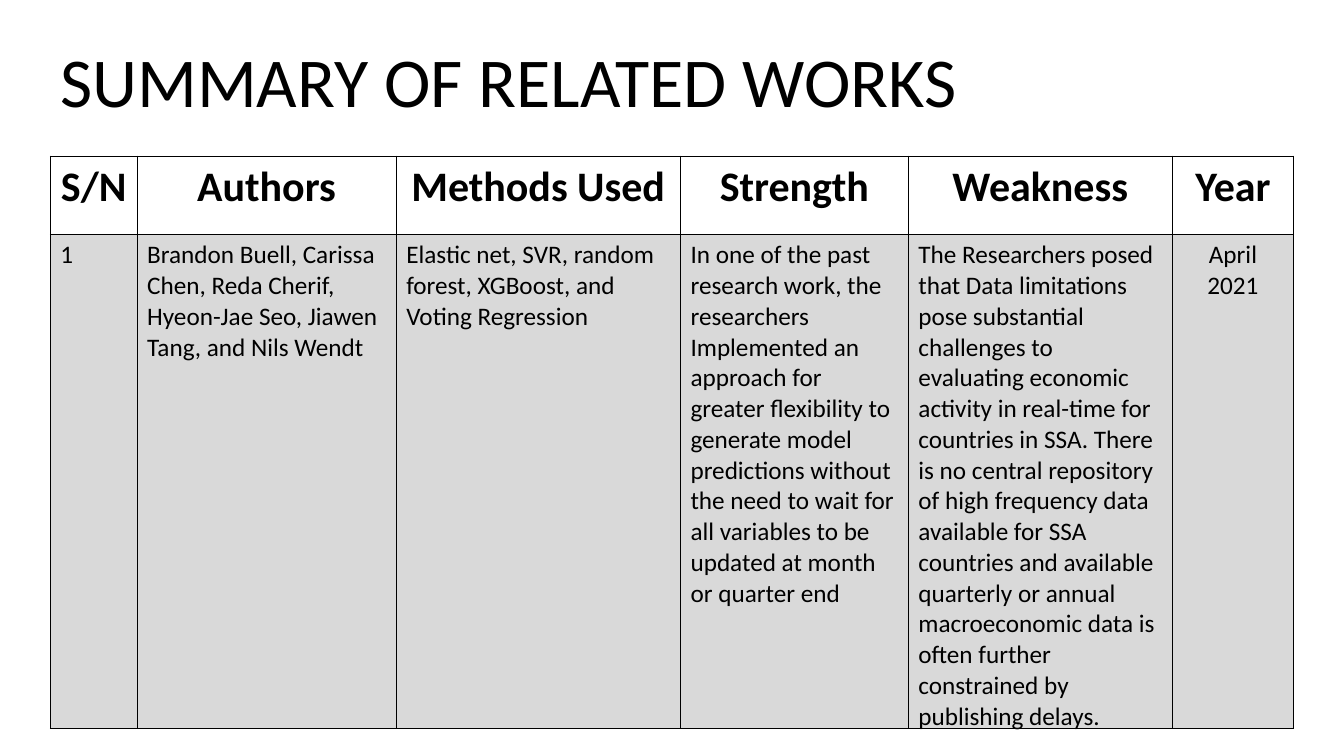
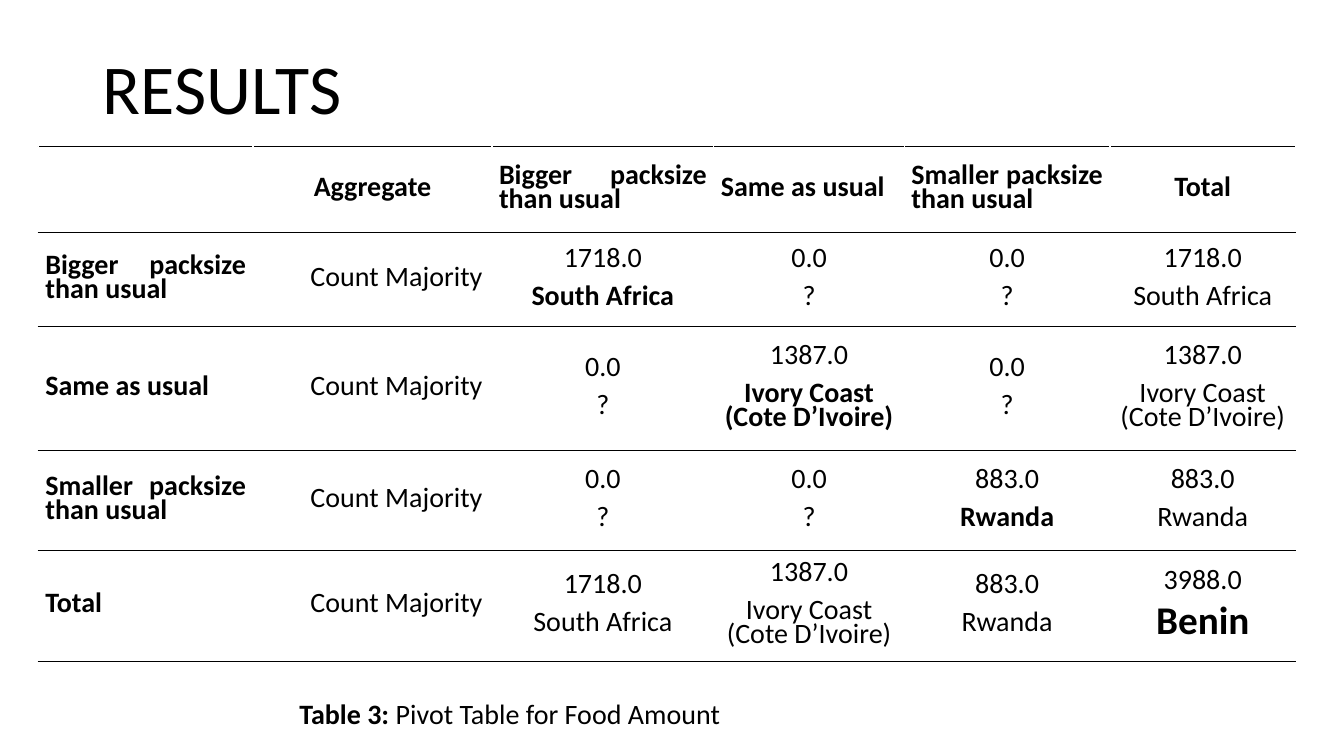
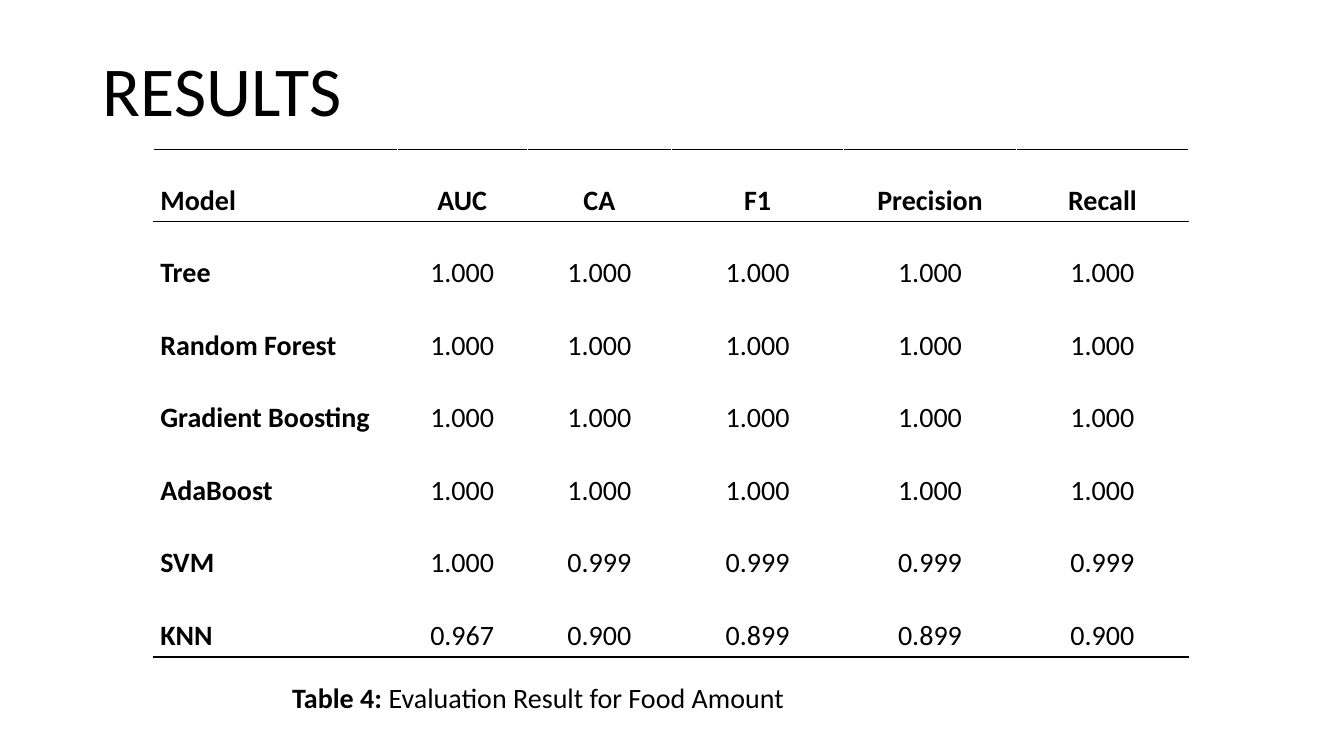
from lxml import etree
from pptx import Presentation
from pptx.dml.color import RGBColor
from pptx.enum.text import MSO_ANCHOR, PP_ALIGN
from pptx.oxml.ns import qn
from pptx.util import Inches, Pt

LEFT, CENTER, JUSTIFY = PP_ALIGN.LEFT, PP_ALIGN.CENTER, PP_ALIGN.JUSTIFY
TOP, MIDDLE = MSO_ANCHOR.TOP, MSO_ANCHOR.MIDDLE
BLACK = RGBColor(0x00, 0x00, 0x00)
WHITE = RGBColor(0xFF, 0xFF, 0xFF)
GREY = RGBColor(0xD9, 0xD9, 0xD9)
FONT = "Calibri"
BLANK_LAYOUT = 6

RELATED_WORKS = [
    ["S/N", "Authors", "Methods Used", "Strength", "Weakness", "Year"],
    ["1",
     "Brandon Buell, Carissa Chen, Reda Cherif, Hyeon-Jae Seo, Jiawen Tang, and Nils Wendt",
     "Elastic net, SVR, random forest, XGBoost, and Voting Regression",
     "In one of the past research work, the researchers Implemented an approach for greater "
     "flexibility to generate model predictions without the need to wait for all variables to "
     "be updated at month or quarter end",
     "The Researchers posed that Data limitations pose substantial challenges to evaluating "
     "economic activity in real-time for countries in SSA. There is no central repository of "
     "high frequency data available for SSA countries and available quarterly or annual "
     "macroeconomic data is often further constrained by publishing delays.",
     "April 2021"],
]

BIGGER = "Bigger packsize than usual"
SAME = "Same as usual"
SMALLER = "Smaller packsize than usual"
AGGREGATE = "Count Majority"
NO_COUNT = "0.0\n?"
SOUTH_AFRICA = "1718.0\nSouth Africa"
IVORY_COAST = "1387.0\nIvory Coast (Cote D’Ivoire)"
RWANDA = "883.0\nRwanda"
PIVOT = [
    ["", "Aggregate", BIGGER, SAME, SMALLER, "Total"],
    [BIGGER, AGGREGATE, SOUTH_AFRICA, NO_COUNT, NO_COUNT, SOUTH_AFRICA],
    [SAME, AGGREGATE, NO_COUNT, IVORY_COAST, NO_COUNT, IVORY_COAST],
    [SMALLER, AGGREGATE, NO_COUNT, NO_COUNT, RWANDA, RWANDA],
    ["Total", AGGREGATE, SOUTH_AFRICA, IVORY_COAST, RWANDA, "3988.0\nBenin"],
]

PERFECT = ["1.000"] * 5
SCORES = [
    ["Model", "AUC", "CA", "F1", "Precision", "Recall"],
    ["Tree", *PERFECT],
    ["Random Forest", *PERFECT],
    ["Gradient Boosting", *PERFECT],
    ["AdaBoost", *PERFECT],
    ["SVM", "1.000", "0.999", "0.999", "0.999", "0.999"],
    ["KNN", "0.967", "0.900", "0.899", "0.899", "0.900"],
]


class Deck:
    def __init__(self):
        self.presentation = Presentation()
        self.presentation.slide_width = Inches(13.33)
        self.presentation.slide_height = Inches(7.5)
        self.slide = None

    def add_slide(self, title, left, top):
        layout = self.presentation.slide_layouts[BLANK_LAYOUT]
        self.slide = self.presentation.slides.add_slide(layout)
        frame = self.text_frame(left, top, 11.5, 1.15)
        frame.vertical_anchor = MIDDLE
        frame.text = title
        heading = frame.paragraphs[0]
        heading.line_spacing = 0.9
        self.format_run(heading.runs[0], 50)

    def text_frame(self, left, top, width, height):
        box = self.slide.shapes.add_textbox(
            Inches(left), Inches(top), Inches(width), Inches(height))
        box.text_frame.word_wrap = True
        return box.text_frame

    def format_run(self, run, size, bold=False):
        run.font.name = FONT
        run.font.size = Pt(size)
        run.font.bold = bold
        run.font.color.rgb = BLACK

    def caption(self, label, text, left, top, width):
        paragraph = self.text_frame(left, top, width, 0.44).paragraphs[0]
        for words, bold in ((label, True), (" " + text, False)):
            run = paragraph.add_run()
            run.text = words
            self.format_run(run, 20, bold)

    def border(self, cell, side, color):
        line = etree.SubElement(cell._tc.get_or_add_tcPr(), qn("a:" + side), w=str(Pt(1)))
        fill = etree.SubElement(line, qn("a:solidFill"))
        etree.SubElement(fill, qn("a:srgbClr"), val=str(color))

    def table(self, texts, left, top, widths, heights, rules, sides):
        """Add a bordered table; rules are the horizontal line colours from top to bottom."""
        table = self.slide.shapes.add_table(
            len(heights), len(widths), Inches(left), Inches(top),
            Inches(sum(widths)), Inches(sum(heights))).table
        table.first_row = table.horz_banding = False
        for column, width in zip(table.columns, widths):
            column.width = Inches(width)
        for r, height in enumerate(heights):
            table.rows[r].height = Inches(height)
            for c, text in enumerate(texts[r]):
                cell = table.cell(r, c)
                cell.text_frame.text = text
                for side, color in (("lnL", sides), ("lnR", sides),
                                    ("lnT", rules[r]), ("lnB", rules[r + 1])):
                    self.border(cell, side, color)
                self.fill(cell, WHITE)
        return table

    def fill(self, cell, color):
        cell.fill.solid()
        cell.fill.fore_color.rgb = color

    def format_cell(self, cell, size, bold, align):
        for paragraph in cell.text_frame.paragraphs:
            paragraph.alignment = align
            for run in paragraph.runs:
                self.format_run(run, size, bold)

    def format_results(self, table, anchor, line_spacing, justified):
        """Format a results table: bold first row and column, the justified cells, others centred."""
        for r, row in enumerate(table.rows):
            for c, cell in enumerate(row.cells):
                align = JUSTIFY if justified(r, c) else CENTER
                self.format_cell(cell, 20, r == 0 or c == 0, align)
                cell.vertical_anchor = anchor
                cell.margin_left = cell.margin_right = Inches(0.07)
                cell.margin_top = cell.margin_bottom = 0
                for paragraph in cell.text_frame.paragraphs:
                    paragraph.line_spacing = line_spacing
                    paragraph.space_after = Pt(10)


def related_works(deck):
    deck.add_slide("SUMMARY OF RELATED WORKS", 0.5, 0.27)
    table = deck.table(RELATED_WORKS, 0.5, 1.55, [0.86, 2.57, 2.82, 2.26, 2.62, 1.2],
                       [0.78, 4.9], [BLACK] * 3, BLACK)
    year = len(table.columns) - 1
    for c in range(len(table.columns)):
        deck.format_cell(table.cell(0, c), 30, True, CENTER)
        deck.format_cell(table.cell(1, c), 18, False, CENTER if c == year else LEFT)
        deck.fill(table.cell(1, c), GREY)


def pivot_results(deck):
    deck.add_slide("RESULTS", 0.92, 0.34)
    deck.caption("Table 3:", "Pivot Table for Food Amount", 2.87, 6.86, 4.55)
    table = deck.table(PIVOT, 0.38, 1.45, [2.13, 2.37, 2.2, 1.89, 2.04, 1.84],
                       [0.86, 0.93, 1.23, 0.99, 1.1], [BLACK] * 6, WHITE)
    deck.format_results(table, MIDDLE, 0.7,
                        lambda r, c: c in (2, 3, 4) if r == 0 else c < 2)
    for r in range(1, len(PIVOT)):
        aggregate = table.cell(r, 1).text_frame.paragraphs[0]
        aggregate._p.get_or_add_pPr().set("marL", str(Inches(0.5)))
        majority = table.cell(r, r + 1).text_frame.paragraphs[1].runs[0]
        deck.format_run(majority, 28 if majority.text == "Benin" else 20, True)


def evaluation_results(deck):
    deck.add_slide("RESULTS", 0.92, 0.36)
    deck.caption("Table 4:", "Evaluation Result for Food Amount", 2.8, 6.7, 7.74)
    rules = [BLACK, BLACK] + [WHITE] * 5 + [BLACK]
    table = deck.table(SCORES, 1.52, 1.48, [2.42, 1.29, 1.43] + [1.71] * 3,
                       [0.72] * len(SCORES), rules, WHITE)
    deck.format_results(table, TOP, 2.0, lambda r, c: c == 0)


def main():
    deck = Deck()
    related_works(deck)
    pivot_results(deck)
    evaluation_results(deck)
    deck.presentation.save("out.pptx")


if __name__ == "__main__":
    main()
